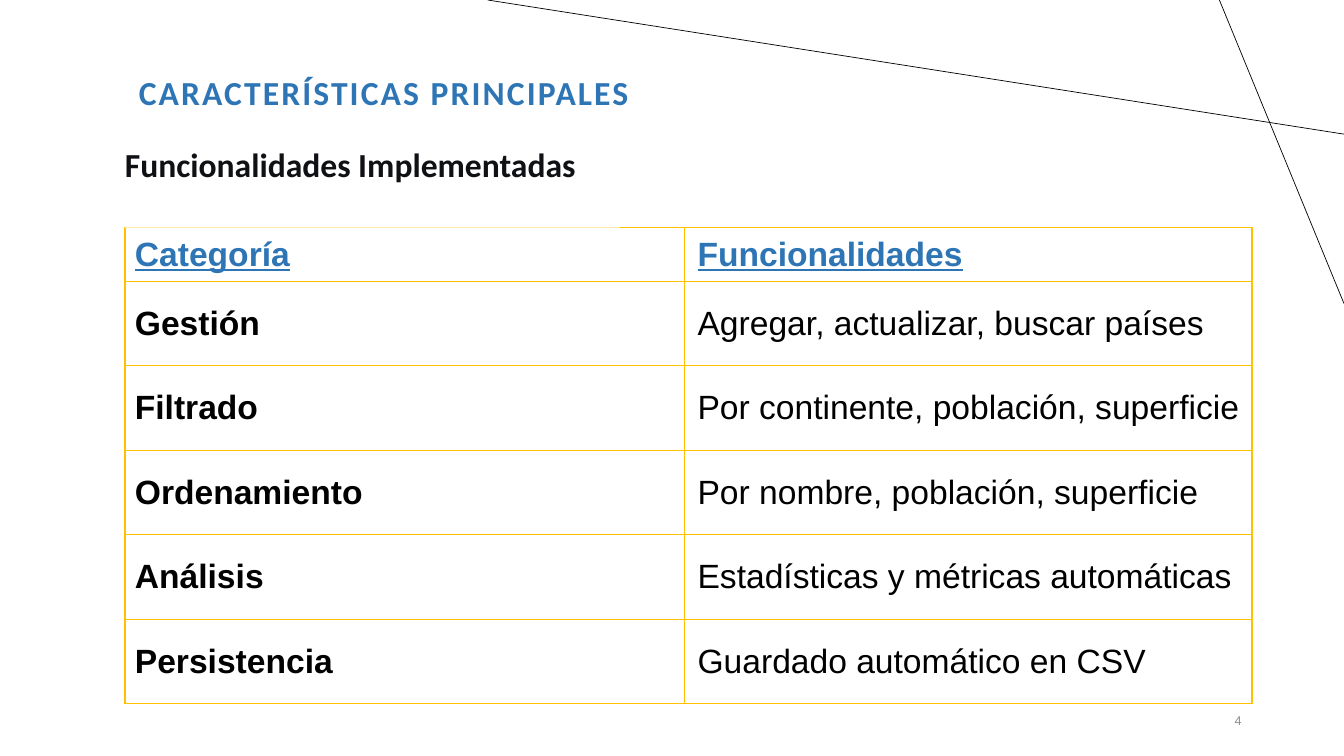
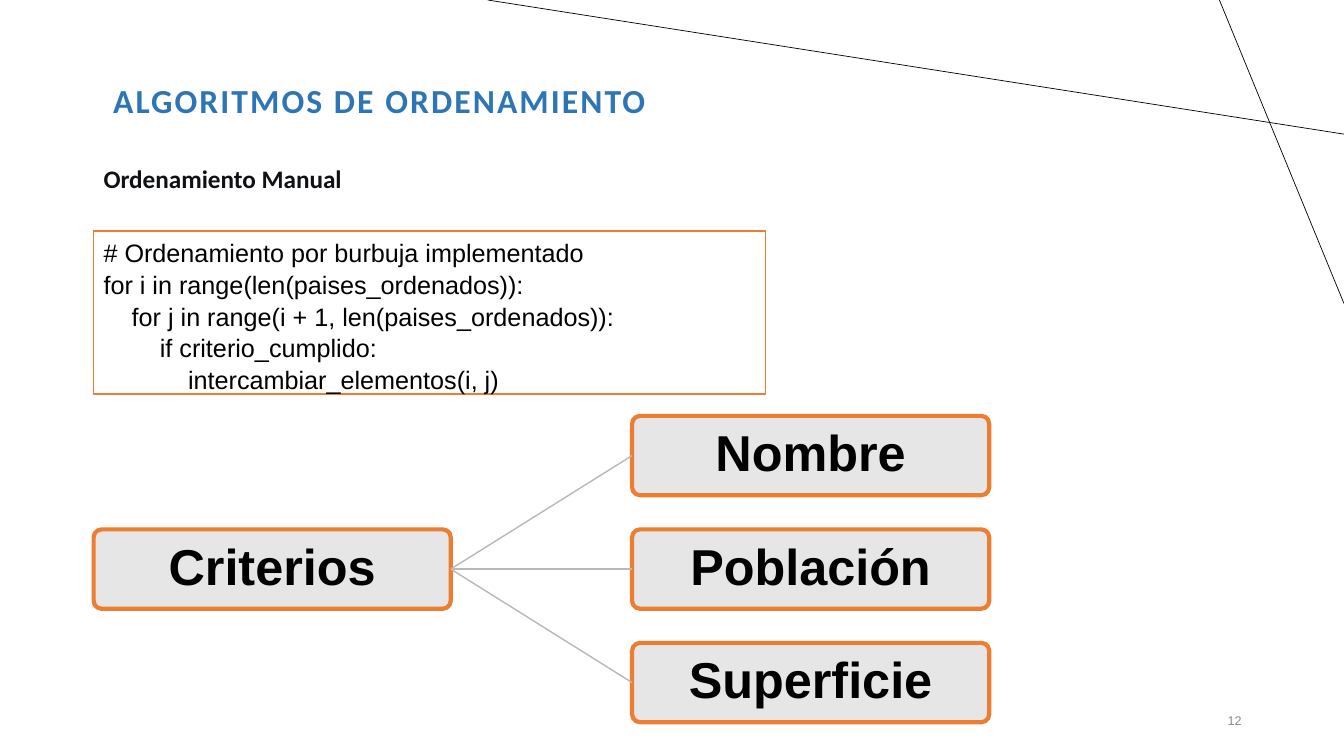
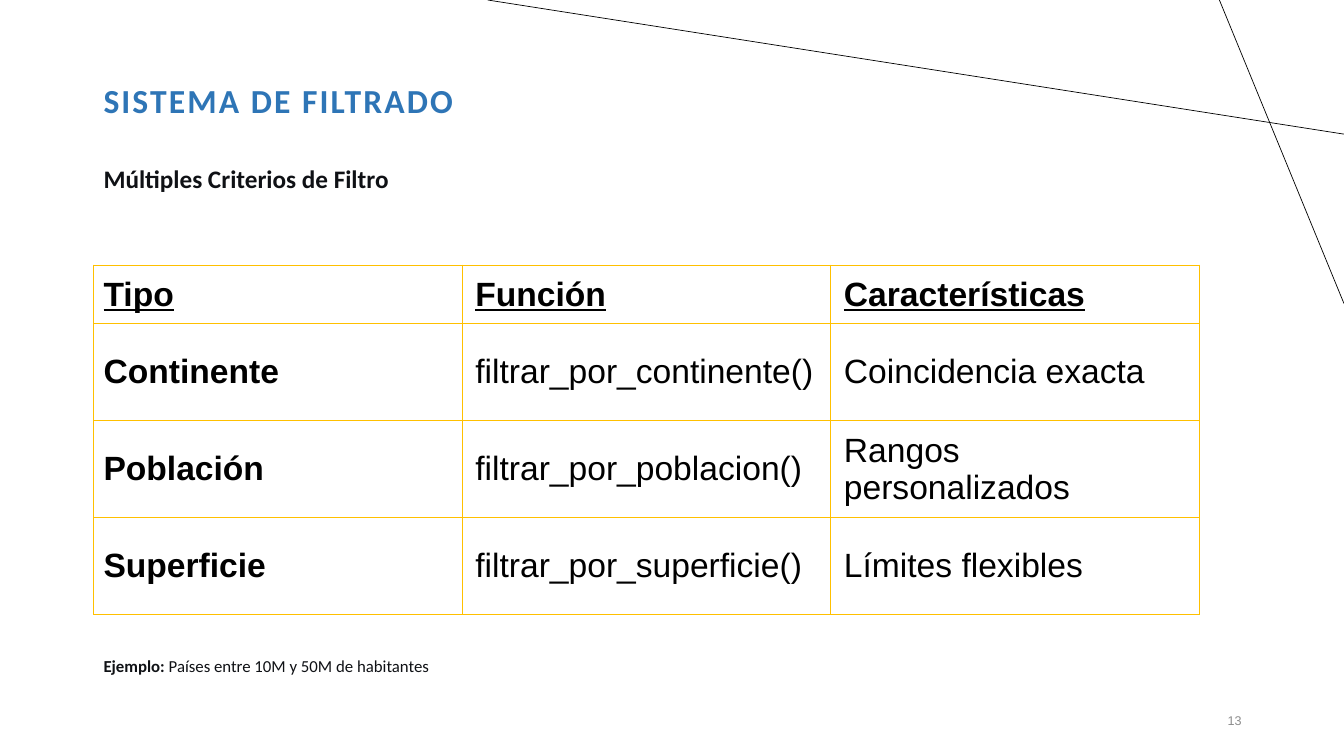
from lxml import etree
from pptx import Presentation
from pptx.dml.color import RGBColor
from pptx.enum import shapes, text
from pptx.oxml import ns
from pptx.util import Cm, Pt

BLUE, INK, BLACK, WHITE = "2E75B6", "0F1115", "000000", "FFFFFF"
GREY, ORANGE, GOLD = "8C8C8C", "ED7D31", "FFC000"
BOX_FILL, BRANCH = "E7E6E6", "BBB8B3"
rgb = RGBColor.from_string


def add_text(s, x, y, w, h, content, size, color, bold=False, font="Calibri",
             kind=shapes.MSO_SHAPE.RECTANGLE, fill=None, line=None, width=1):
    """Add a left-aligned, top-anchored shape; one paragraph per line of content."""
    sp = s.shapes.add_shape(kind, Cm(x), Cm(y), Cm(w), Cm(h))
    sp.shadow.inherit = False
    if fill:
        sp.fill.solid()
        sp.fill.fore_color.rgb = rgb(fill)
    else:
        sp.fill.background()
    if line:
        sp.line.color.rgb = rgb(line)
        sp.line.width = Pt(width)
    else:
        sp.line.fill.background()
    tf = sp.text_frame
    tf.word_wrap = True
    tf.vertical_anchor = text.MSO_ANCHOR.TOP
    tf.text = content
    for p in tf.paragraphs:
        p.alignment = text.PP_ALIGN.LEFT
        for r in p.runs:
            r.font.name, r.font.size, r.font.bold = font, Pt(size), bold
            r.font.color.rgb = rgb(color)
    return sp


def add_line(s, x1, y1, x2, y2, color, width):
    line = s.shapes.add_connector(shapes.MSO_CONNECTOR.STRAIGHT,
                                  Cm(x1), Cm(y1), Cm(x2), Cm(y2))
    line.line.color.rgb = rgb(color)
    line.line.width = Pt(width)
    etree.SubElement(line._element.spPr, ns.qn("a:effectLst"))


prs = Presentation()
prs.slide_width, prs.slide_height = Cm(33.87), Cm(19.05)

# Shared frame: corner lines, title and slide number
titles = [
    ("CARACTERÍSTICAS PRINCIPALES", 3.25, 1.7, "4"),
    ("ALGORITMOS DE ORDENAMIENTO", 2.6, 1.88, "12"),
    ("SISTEMA DE FILTRADO", 2.36, 1.88, "13"),
]
for title, x, y, number in titles:
    s = prs.slides.add_slide(prs.slide_layouts[6])
    add_line(s, 33.87, 3.38, 12.29, 0, BLACK, 0.5)
    add_line(s, 30.73, 0, 33.87, 7.65, BLACK, 0.5)
    sp = add_text(s, x, y, 16.94, 1.27, title, 24, BLUE, True)
    sp.text_frame.paragraphs[0].runs[0].font._element.set("spc", "150")
    sp = add_text(s, 28.8, 17.65, 2.74, 1.02, number, 9, GREY, font="Arial")
    sp.text_frame.vertical_anchor = text.MSO_ANCHOR.MIDDLE
    sp.text_frame.paragraphs[0].alignment = text.PP_ALIGN.RIGHT
features, sorting, filtering = prs.slides

# Tables
feature_rows = [
    ("Categoría", "Funcionalidades"),
    ("Gestión", "Agregar, actualizar, buscar países"),
    ("Filtrado", "Por continente, población, superficie"),
    ("Ordenamiento", "Por nombre, población, superficie"),
    ("Análisis", "Estadísticas y métricas automáticas"),
    ("Persistencia", "Guardado automático en CSV"),
]
filter_rows = [
    ("Tipo", "Función", "Características"),
    ("Continente", "filtrar_por_continente()", "Coincidencia exacta"),
    ("Población", "filtrar_por_poblacion()", "Rangos personalizados"),
    ("Superficie", "filtrar_por_superficie()", "Límites flexibles"),
]
tables = [
    (features, feature_rows, 3.15, 5.74, [14.1, 14.3], 1.3, 2.13, BLUE),
    (filtering, filter_rows, 2.36, 6.68, [9.29] * 3, 1.48, 2.44, BLACK),
]
for s, rows, x, y, widths, head_height, row_height, head_color in tables:
    heights = [head_height] + [row_height] * (len(rows) - 1)
    table = s.shapes.add_table(len(rows), len(widths), Cm(x), Cm(y),
                               Cm(sum(widths)), Cm(sum(heights))).table
    table.horz_banding = False
    for column, width in zip(table.columns, widths):
        column.width = Cm(width)
    for i, row in enumerate(rows):
        table.rows[i].height = Cm(heights[i])
        for j, value in enumerate(row):
            cell = table.cell(i, j)
            cell.text = value
            cell.fill.background()
            cell.vertical_anchor = text.MSO_ANCHOR.MIDDLE
            cell.margin_left = Cm(0.25 if j == 0 else 0.33)
            cell.margin_right = Cm(0.25 if j == len(row) - 1 else 0.33)
            cell.margin_top = cell.margin_bottom = Cm(0.2)
            font = cell.text_frame.paragraphs[0].runs[0].font
            font.name, font.size = "Arial", Pt(24)
            font.bold = i == 0 or j == 0
            font.underline = i == 0
            font.color.rgb = rgb(head_color if i == 0 else BLACK)
            tcPr = cell._tc.get_or_add_tcPr()
            for k, side in enumerate(("lnL", "lnR", "lnT", "lnB")):
                ln = etree.Element(ns.qn("a:" + side), w=str(Pt(1)))
                border = etree.SubElement(ln, ns.qn("a:solidFill"))
                etree.SubElement(border, ns.qn("a:srgbClr"), val=GOLD)
                tcPr.insert(k, ln)

# Subtitles
sp = add_text(features, 3.15, 3, 12.47, 2.74, "Funcionalidades Implementadas",
              24, INK, True, fill=WHITE)
sp.text_frame.margin_left = sp.text_frame.margin_right = 0
sp.text_frame.margin_top = Cm(0.63)
for s, subtitle in ((sorting, "Ordenamiento Manual"),
                    (filtering, "Múltiples Criterios de Filtro")):
    add_text(s, 2.36, 3.99, 16.94, 1.02, subtitle, 18, INK, True)

# Sorting code
code = [
    (0, "# Ordenamiento por burbuja implementado"),
    (0, "for i in range(len(paises_ordenados)):"),
    (1, "for j in range(i + 1, len(paises_ordenados)):"),
    (2, "if criterio_cumplido:"),
    (3, "intercambiar_elementos(i, j)"),
]
sp = add_text(sorting, 2.36, 5.82, 16.94, 4.11, "\n".join(t for _, t in code),
              18, BLACK, font="Arial", fill=WHITE, line=ORANGE)
for p, (depth, _) in zip(sp.text_frame.paragraphs, code):
    p.line_spacing = 1.05
    p._p.get_or_add_pPr().set("marL", str(Cm(0.71 * depth)))

# Criteria tree
BOX_W, BOX_H, STEP = 9, 2, 2.86
ROOT_X, ROOT_Y, LEAF_X = 2.36, 13.34, 15.93
leaves = ["Nombre", "Población", "Superficie"]
nodes = [("Criterios", ROOT_X, ROOT_Y)]
nodes += [(name, LEAF_X, ROOT_Y + (i - 1) * STEP) for i, name in enumerate(leaves)]
for name, x, y in nodes:
    sp = add_text(sorting, x, y, BOX_W, BOX_H, name, 36, BLACK, True, "Arial",
                  shapes.MSO_SHAPE.ROUNDED_RECTANGLE, BOX_FILL, ORANGE, 3)
    sp.adjustments[0] = 0.1
    tf = sp.text_frame
    tf.vertical_anchor = text.MSO_ANCHOR.MIDDLE
    tf.margin_top = tf.margin_bottom = Cm(0.08)
    tf.paragraphs[0].alignment = text.PP_ALIGN.CENTER
    tf.paragraphs[0].line_spacing = 0.9
for _, x, y in nodes[1:]:
    add_line(sorting, ROOT_X + BOX_W, ROOT_Y + BOX_H / 2, x, y + BOX_H / 2, BRANCH, 1)

# Filter example
sp = add_text(filtering, 2.36, 16.41, 24.21, 0.76, "Ejemplo:", 12, INK, True, fill=WHITE)
sp.text_frame.vertical_anchor = text.MSO_ANCHOR.MIDDLE
r = sp.text_frame.paragraphs[0].add_run()
r.text = " Países entre 10M y 50M de habitantes"
r.font.name, r.font.size = "Calibri", Pt(12)
r.font.color.rgb = rgb(INK)

prs.save("out.pptx")
